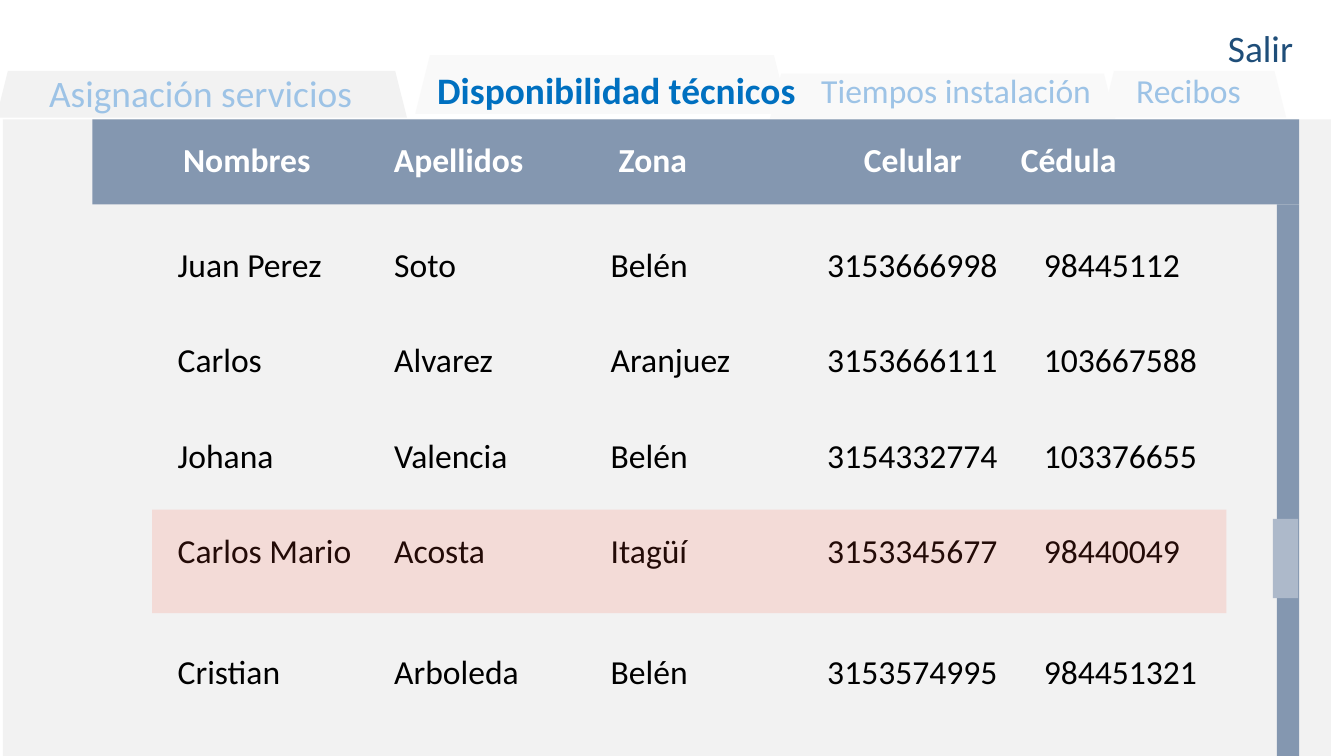
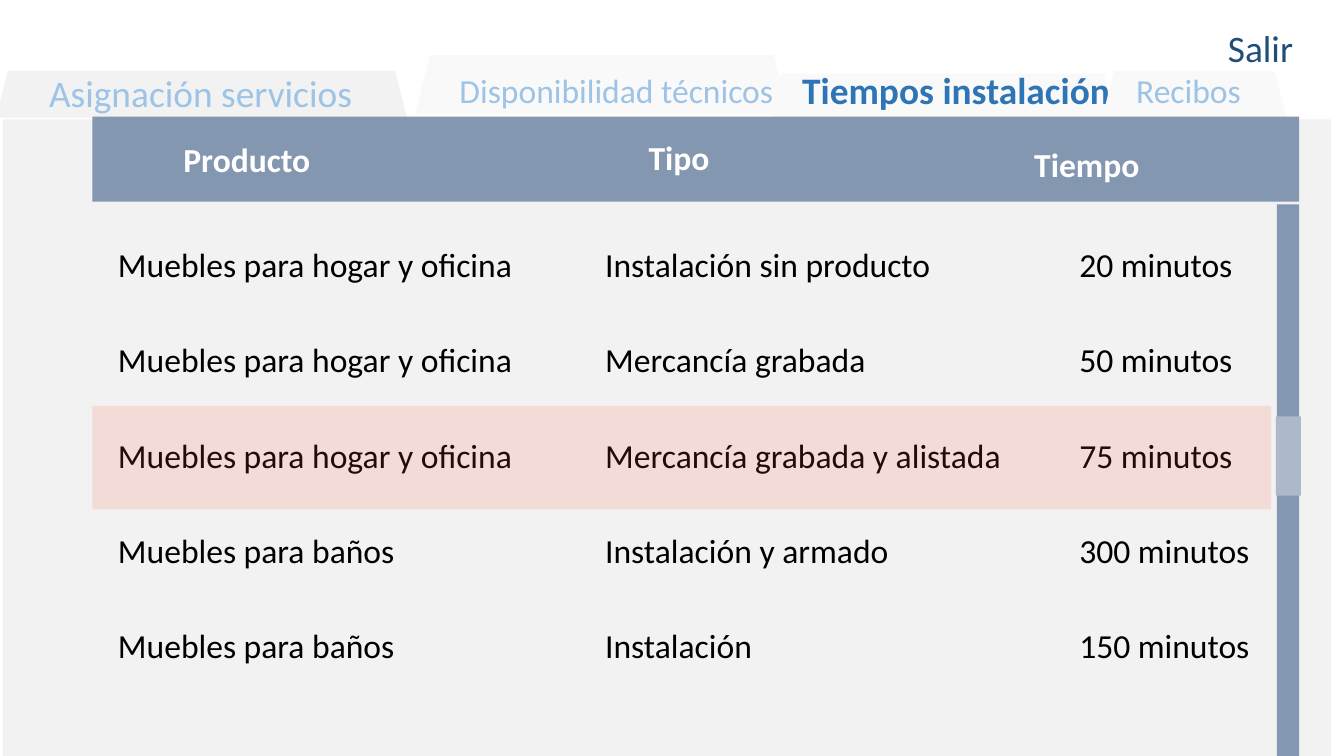
from dataclasses import dataclass

from lxml.etree import SubElement
from pptx import Presentation
from pptx.dml.color import RGBColor
from pptx.enum.shapes import MSO_SHAPE as Shape
from pptx.enum.text import MSO_ANCHOR as Anchor, MSO_AUTO_SIZE as AutoSize, PP_ALIGN as Align
from pptx.oxml.ns import qn
from pptx.util import Pt

FONT = "Calibri"
BLACK = RGBColor(0x00, 0x00, 0x00)
WHITE = RGBColor(0xFF, 0xFF, 0xFF)
PANEL = RGBColor(0xF2, 0xF2, 0xF2)
TAB_PALE = RGBColor(0xF9, 0xF9, 0xF9)
SLATE = RGBColor(0x84, 0x97, 0xB0)
THUMB = RGBColor(0xAD, 0xB9, 0xCA)
TAB_TEXT = RGBColor(0x9D, 0xC3, 0xE6)
EXIT_TEXT = RGBColor(0x1F, 0x4E, 0x79)
ACTIVE_BRIGHT = RGBColor(0x00, 0x70, 0xC0)
ACTIVE_BLUE = RGBColor(0x2E, 0x75, 0xB6)
HIGHLIGHT = RGBColor(0xFC, 0x51, 0x34)
HIGHLIGHT_ALPHA = 14
NO_GRID_STYLE = "{2D5ABB26-0587-4C30-8999-92F81FD0307C}"


@dataclass(frozen=True)
class Box:
    """A rectangle in points."""
    x: float
    y: float
    w: float
    h: float

    def lengths(self) -> tuple:
        """Return left, top, width and height as lengths."""
        return Pt(self.x), Pt(self.y), Pt(self.w), Pt(self.h)


@dataclass(frozen=True)
class Tab:
    """A navigation tab with its outline and label."""
    label: str
    outline: Box
    text: Box
    fill: RGBColor
    size: int
    active_color: RGBColor


@dataclass(frozen=True)
class Heading:
    """A column heading in the header band."""
    label: str
    x: float
    w: float
    y: float = 66


@dataclass(frozen=True)
class Grid:
    """A table with column widths, row heights and cell texts."""
    box: Box
    widths: list[float]
    heights: list[float]
    rows: list[list[str]]


@dataclass(frozen=True)
class Screen:
    """One screen of the application."""
    active: str
    header_y: float
    headings: list[Heading]
    grid: Grid
    thumb: Box
    highlight: Box


ASSIGN = Tab("Asignación servicios", Box(-2, 38, 220, 25), Box(-6.5, 32, 228, 35),
             PANEL, 20, ACTIVE_BLUE)
AVAILABLE = Tab("Disponibilidad técnicos", Box(222.5, 29.5, 200, 31.5),
                Box(223, 29, 214.5, 38), TAB_PALE, 18, ACTIVE_BRIGHT)
TIMES = Tab("Tiempos instalación", Box(412.5, 39.5, 185, 24),
            Box(420.5, 29, 183.5, 38), TAB_PALE, 18, ACTIVE_BLUE)
RECEIPTS = Tab("Recibos", Box(590.5, 38, 98.5, 25), Box(576, 29, 121.5, 38),
               TAB_PALE, 18, ACTIVE_BLUE)

HOME, BATHS = "Muebles para hogar y oficina", "Muebles para baños"

SCREENS = [
    Screen(
        AVAILABLE.label, 64,
        [Heading("Zona", 292.5, 114.5), Heading("Celular", 452, 74),
         Heading("Nombres", 81.5, 101.5), Heading("Cédula", 531.5, 82),
         Heading("Apellidos", 188.5, 114.5)],
        Grid(Box(88, 128, 580, 247), [116] * 5, [29, 51, 51, 51, 65], [
            ["Juan Perez", "Soto", "Belén", "3153666998", "98445112"],
            ["Carlos", "Alvarez", "Aranjuez", "3153666111", "103667588"],
            ["Johana", "Valencia", "Belén", "3154332774", "103376655"],
            ["Carlos Mario", "Acosta", "Itagüí", "3153345677", "98440049"],
            ["Cristian", "Arboleda", "Belén", "3153574995", "984451321"],
        ]),
        Box(682, 278, 13.5, 42.5), Box(81.5, 273, 575.5, 55.5)),
    Screen(
        TIMES.label, 62.5,
        [Heading("Tiempo", 525, 114.5, 69), Heading("Producto", 81.5, 101.5),
         Heading("Tipo", 306.5, 114.5, 65)],
        Grid(Box(56, 128, 623, 283), [261, 254, 108], [29] + [51] * 4 + [50], [
            [HOME, "Instalación sin producto", "20 minutos"],
            [HOME, "Mercancía grabada", "50 minutos"],
            [HOME, "Mercancía grabada y alistada", "75 minutos"],
            [BATHS, "Instalación y armado", "300 minutos"],
            [BATHS, "Instalación", "150 minutos"],
            ["", "", ""],
        ]),
        Box(683.5, 223, 13.5, 42.5), Box(49.5, 217.5, 631.5, 55.5)),
]


def add_run(p, text: str, size: int, color: RGBColor, bold: bool = False) -> None:
    """Add a formatted run to a paragraph."""
    r = p.add_run()
    r.text = text
    r.font.name = FONT
    r.font.size = Pt(size)
    r.font.bold = bold
    r.font.color.rgb = color


def fill_label(sp, text: str, size: int, color: RGBColor, bold: bool = False) -> None:
    """Write one centred line into a text shape."""
    tf = sp.text_frame
    tf.word_wrap = True
    tf.auto_size = AutoSize.NONE
    tf.vertical_anchor = Anchor.MIDDLE
    p = tf.paragraphs[0]
    p.alignment = Align.CENTER
    add_run(p, text, size, color, bold)


def add_label(s, box: Box, text: str, size: int, color: RGBColor, bold: bool = False) -> None:
    """Add a centred text box."""
    fill_label(s.shapes.add_textbox(*box.lengths()), text, size, color, bold)


def add_block(s, box: Box, fill: RGBColor, kind: Shape = Shape.RECTANGLE,
              alpha: int = 100) -> None:
    """Add a flat shape without outline."""
    sp = s.shapes.add_shape(kind, *box.lengths())
    sp.shadow.inherit = False
    sp.line.fill.background()
    sp.fill.solid()
    sp.fill.fore_color.rgb = fill
    if alpha < 100:
        color = sp.element.spPr.find(qn("a:solidFill"))[0]
        SubElement(color, qn("a:alpha"), val=str(alpha * 1000))


def add_tab(s, tab: Tab, active: str) -> None:
    """Add a tab, using the slide title as the label of the active one."""
    add_block(s, tab.outline, tab.fill, Shape.TRAPEZOID)
    if tab.label != active:
        add_label(s, tab.text, tab.label, tab.size, TAB_TEXT)
        return
    sp = s.shapes.title
    sp.left, sp.top, sp.width, sp.height = tab.text.lengths()
    fill_label(sp, tab.label, 20, tab.active_color, True)
    s.shapes.element.append(sp.element)


def add_grid(s, grid: Grid) -> None:
    """Add a borderless table with bottom-aligned text."""
    frame = s.shapes.add_table(len(grid.rows), len(grid.widths), *grid.box.lengths())
    table = frame.table
    table.first_row = table.horz_banding = False
    next(frame.element.iter(qn("a:tableStyleId"))).text = NO_GRID_STYLE
    for column, width in zip(table.columns, grid.widths):
        column.width = Pt(width)
    for row, height, texts in zip(table.rows, grid.heights, grid.rows):
        row.height = Pt(height)
        for cell, text in zip(row.cells, texts):
            cell.fill.background()
            cell.vertical_anchor = Anchor.BOTTOM
            if text:
                add_run(cell.text_frame.paragraphs[0], text, 18, BLACK)


def build_screen(prs, screen: Screen) -> None:
    """Build one slide from its screen description."""
    s = prs.slides.add_slide(prs.slide_layouts.get_by_name("Title Only"))
    for tab in (ASSIGN, TIMES, RECEIPTS):
        add_tab(s, tab, screen.active)
    add_block(s, Box(1.5, 64, 711.5, 341), PANEL)
    add_label(s, Box(637, 6.5, 76.5, 38), "Salir", 20, EXIT_TEXT)
    add_block(s, Box(49.5, 64, 646.5, 341), PANEL)
    add_block(s, Box(49.5, screen.header_y, 646.5, 45.5), SLATE)
    for h in screen.headings:
        add_label(s, Box(h.x, h.y, h.w, 38), h.label, 18, WHITE, True)
    add_grid(s, screen.grid)
    add_tab(s, AVAILABLE, screen.active)
    add_block(s, Box(684, 109.5, 12, 299.5), SLATE)
    add_block(s, screen.thumb, THUMB)
    add_block(s, screen.highlight, HIGHLIGHT, alpha=HIGHLIGHT_ALPHA)


def main() -> None:
    """Build and save the presentation."""
    prs = Presentation()
    prs.slide_width, prs.slide_height = Pt(720), Pt(405)
    for screen in SCREENS:
        build_screen(prs, screen)
    prs.save("out.pptx")


if __name__ == "__main__":
    main()
